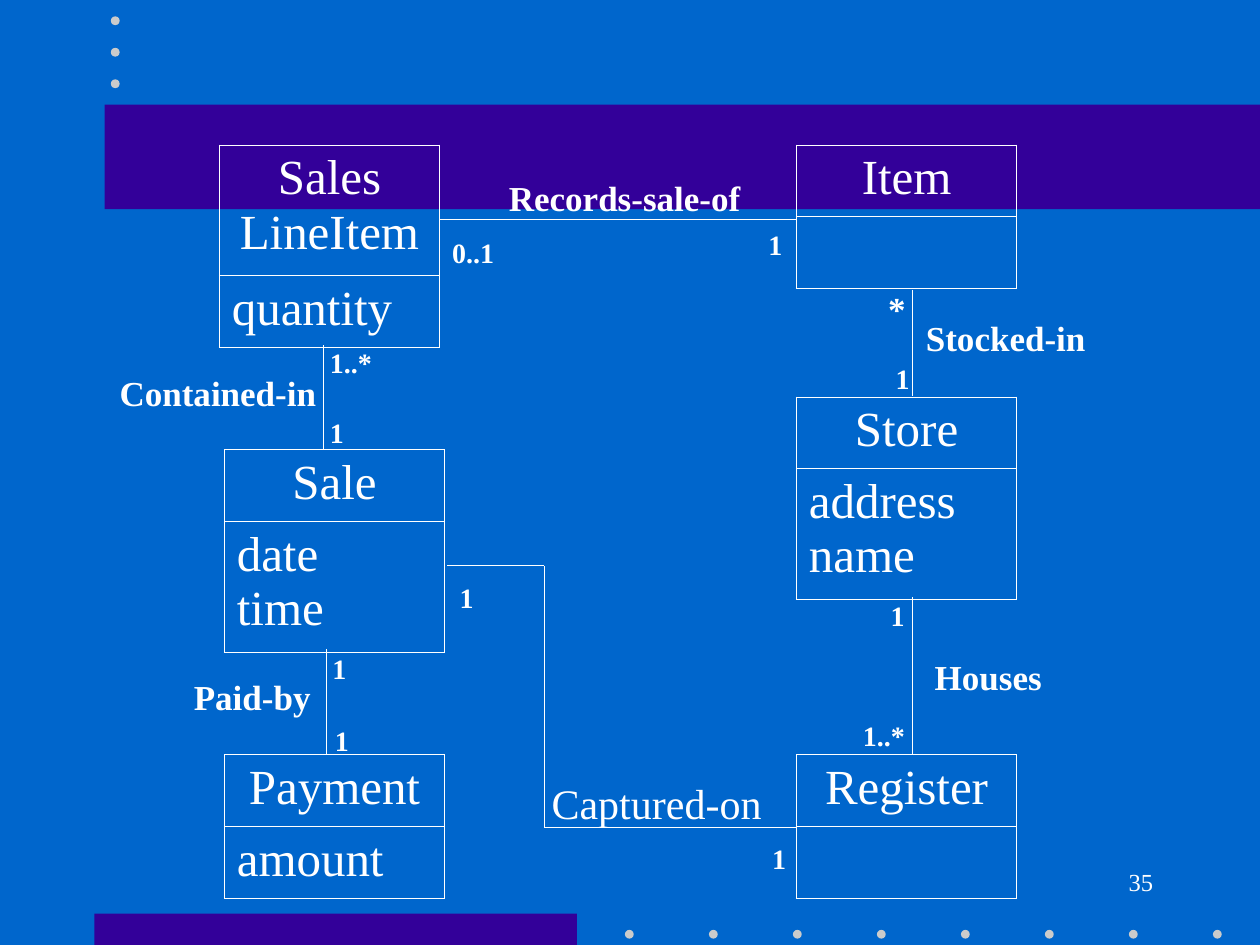
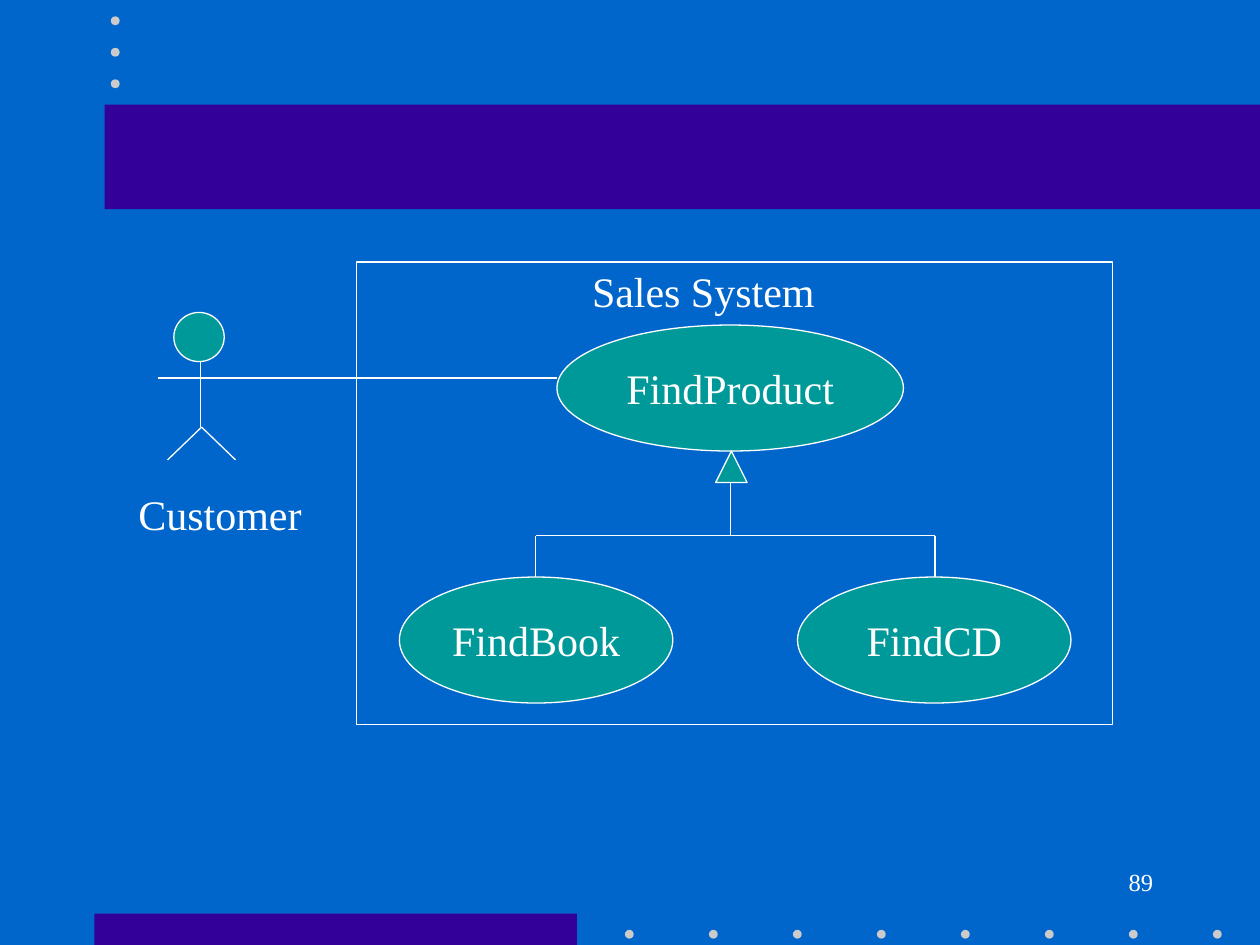
import itertools

import pptx
import pptx.dml.color
import pptx.enum.shapes
import pptx.enum.text
import pptx.oxml
import pptx.oxml.ns
import pptx.util

Inches = pptx.util.Inches
Pt = pptx.util.Pt
RGBColor = pptx.dml.color.RGBColor
Shape = pptx.enum.shapes.MSO_SHAPE
Align = pptx.enum.text.PP_ALIGN
Anchor = pptx.enum.text.MSO_ANCHOR

BACKGROUND = RGBColor(0x00, 0x66, 0xCC)
BAND = RGBColor(0x33, 0x00, 0x99)
DOT = RGBColor(0xCB, 0xCB, 0xCB)
TEAL = RGBColor(0x00, 0x99, 0x99)
WHITE = RGBColor(0xFF, 0xFF, 0xFF)

FONT = "Times New Roman"
LINE_WIDTH = 0.75
BORDER_WIDTH = 0.45
NAME_ROW = 0.57
TALL_ROW = 1.03
CLASS_WIDTH = 1.75

# Class boxes: left, top, name, attributes, row heights
CLASSES = [
    (1.74, 1.15, "Sales LineItem", ["quantity"], (TALL_ROW, NAME_ROW)),
    (6.32, 1.15, "Item", [], (NAME_ROW, NAME_ROW)),
    (1.78, 3.57, "Sale", ["date", "time"], (NAME_ROW, TALL_ROW)),
    (6.32, 3.15, "Store", ["address", "name"], (NAME_ROW, TALL_ROW)),
    (1.78, 5.99, "Payment", ["amount"], (NAME_ROW, NAME_ROW)),
    (6.32, 5.99, "Register", [], (NAME_ROW, NAME_ROW)),
]

# Associations: start point, route, then labels, all measured from the start.
# Each label: text, left, top, width, size, bold
ASSOCIATIONS = [
    (2.57, 2.74, [(0, 0), (0, 0.83)], [
        ("1..*", -0.05, -0.05, 0.83, 16, True),
        ("1", -0.05, 0.51, 0.67, 16, True),
        ("Contained-in", -1.72, 0.16, 2.42, 20, True)]),
    (2.59, 5.15, [(0, 0), (0, 0.84)], [
        ("1", -0.05, -0.03, 0.67, 16, True),
        ("1", -0.03, 0.54, 0.58, 16, True),
        ("Paid-by", -1.15, 0.16, 1.33, 20, True)]),
    (3.55, 4.49, [(0, 0), (0.77, 0), (0.77, 2.08), (2.77, 2.08)], [
        ("1", 0, 0.07, 0.58, 16, True),
        ("Captured-on", 0.73, 1.63, 2, 24, False),
        ("1", 2.48, 2.14, 0.33, 16, True)]),
    (7.24, 4.74, [(0, 0), (0, 1.25)], [
        ("1", -0.27, -0.04, 0.42, 16, True),
        ("1..*", -0.49, 0.91, 0.75, 16, True),
        ("Houses", 0.08, 0.41, 1.33, 20, True)]),
    (7.24, 2.3, [(0, 0), (0, 0.84)], [
        ("Stocked-in", 0.01, 0.16, 1.83, 20, True),
        ("*", -0.29, -0.07, 0.33, 20, True),
        ("1", -0.23, 0.52, 0.33, 16, True)]),
    (3.49, 1.74, [(0, 0), (2.83, 0)], [
        ("Records-sale-of", 0.45, -0.39, 2.33, 20, True),
        ("0..1", 0, 0.08, 0.75, 16, True),
        ("1", 2.51, 0.02, 0.33, 16, True)]),
]


def add_run(paragraph, text, size, bold=False):
    run = paragraph.add_run()
    run.text = text
    run.font.name = FONT
    run.font.size = Pt(size)
    run.font.bold = bold
    run.font.color.rgb = WHITE


def add_label(slide, text, left, top, width, size, bold=False, align=Align.LEFT):
    height = size / 60 + 0.1
    box = slide.shapes.add_textbox(
        Inches(left), Inches(top), Inches(width), Inches(height))
    box.text_frame.word_wrap = True
    paragraph = box.text_frame.paragraphs[0]
    paragraph.alignment = align
    add_run(paragraph, text, size, bold)


def add_figure(slide, kind, left, top, width, height, fill=None, outlined=True):
    shape = slide.shapes.add_shape(
        kind, Inches(left), Inches(top), Inches(width), Inches(height))
    shape.shadow.inherit = False
    if fill is None:
        shape.fill.background()
    else:
        shape.fill.solid()
        shape.fill.fore_color.rgb = fill
    if outlined:
        shape.line.color.rgb = WHITE
        shape.line.width = Pt(LINE_WIDTH)
    else:
        shape.line.fill.background()
    return shape


def add_route(slide, left, top, points):
    """Join successive points, measured from left and top, with lines."""
    for (x1, y1), (x2, y2) in itertools.pairwise(points):
        line = slide.shapes.add_connector(
            pptx.enum.shapes.MSO_CONNECTOR.STRAIGHT,
            Inches(left + x1), Inches(top + y1), Inches(left + x2), Inches(top + y2))
        line.line.color.rgb = WHITE
        line.line.width = Pt(LINE_WIDTH)
        properties = line._element.spPr
        properties.append(properties.makeelement(pptx.oxml.ns.qn("a:effectLst"), {}))


def add_decoration(slide, number):
    # Footer band and its dots
    add_figure(slide, Shape.RECTANGLE, 0.75, 7.25, 3.83, 0.25, BAND, False)
    footer_dots = [(4.96 + column * 2 / 3, 7.38) for column in range(8)]
    # Title band and the dots above it
    add_figure(slide, Shape.RECTANGLE, 0.83, 0.83, 9.17, 0.83, BAND, False)
    header_dots = [(0.88, 0.13 + row * 0.25) for row in range(3)]
    for left, top in footer_dots + header_dots:
        add_figure(slide, Shape.OVAL, left, top, 0.07, 0.07, DOT, False)
    # Slide number
    add_label(slide, number, 7.17, 6.83, 2.08, 14, align=Align.RIGHT)


def outline_cell(cell):
    cell.fill.background()
    properties = cell._tc.get_or_add_tcPr()
    for position, side in enumerate(("lnL", "lnR", "lnT", "lnB")):
        border = pptx.oxml.parse_xml(
            f'<a:{side} {pptx.oxml.ns.nsdecls("a")} w="{Pt(BORDER_WIDTH)}">'
            f'<a:solidFill><a:srgbClr val="{WHITE}"/></a:solidFill></a:{side}>')
        properties.insert(position, border)


def add_class(slide, left, top, name, attributes, heights):
    table = slide.shapes.add_table(
        2, 1, Inches(left), Inches(top),
        Inches(CLASS_WIDTH), Inches(sum(heights))).table
    table.first_row = False
    table.horz_banding = False
    contents = [([name], Align.CENTER), (attributes, Align.LEFT)]
    for index, (lines, align) in enumerate(contents):
        table.rows[index].height = Inches(heights[index])
        cell = table.cell(index, 0)
        outline_cell(cell)
        for number, text in enumerate(lines):
            frame = cell.text_frame
            paragraph = frame.add_paragraph() if number else frame.paragraphs[0]
            paragraph.alignment = align
            add_run(paragraph, text, 28)


def add_association(slide, left, top, route, labels):
    add_route(slide, left, top, route)
    for text, x, y, width, size, bold in labels:
        add_label(slide, text, left + x, top + y, width, size, bold)


def add_actor(slide, left, top, name):
    add_figure(slide, Shape.OVAL, left + 0.13, top, 0.4, 0.39, TEAL)
    # Body, legs, arms
    add_route(slide, left, top, [(0.34, 0.39), (0.34, 0.91)])
    add_route(slide, left, top, [(0.08, 1.17), (0.35, 0.91), (0.62, 1.17)])
    add_route(slide, left, top, [(0, 0.52), (0.67, 0.52)])
    add_label(slide, name, left - 0.25, top + 1.35, 1.5, 24)


def add_use_case(slide, left, top, width, name):
    oval = add_figure(slide, Shape.OVAL, left, top, width, 1, TEAL)
    frame = oval.text_frame
    frame.word_wrap = False
    frame.vertical_anchor = Anchor.MIDDLE
    frame.paragraphs[0].alignment = Align.CENTER
    add_run(frame.paragraphs[0], name, 24)


def add_system(slide, left, top):
    # Boundary and use cases
    add_figure(slide, Shape.RECTANGLE, left, top, 6, 3.67)
    add_label(slide, "Sales System", left + 1.77, top - 0.02, 2.58, 24)
    add_use_case(slide, left + 1.59, top + 0.5, 2.75, "FindProduct")
    add_use_case(slide, left + 0.34, top + 2.5, 2.17, "FindBook")
    add_use_case(slide, left + 3.5, top + 2.5, 2.17, "FindCD")
    # Generalization: fork, stem and hollow arrowhead
    add_route(slide, left, top, [(1.42, 2.5), (1.42, 2.17), (4.59, 2.17), (4.59, 2.5)])
    add_route(slide, left, top, [(2.97, 1.75), (2.97, 2.17)])
    add_figure(slide, Shape.ISOSCELES_TRIANGLE, left + 2.85, top + 1.5, 0.25, 0.25, TEAL)


def build_class_diagram(slide):
    add_decoration(slide, "35")
    for class_box in CLASSES:
        add_class(slide, *class_box)
    for association in ASSOCIATIONS:
        add_association(slide, *association)


def build_use_case_diagram(slide):
    add_decoration(slide, "89")
    add_actor(slide, 1.25, 2.48, "Customer")
    add_system(slide, 2.83, 2.08)
    # Customer takes part in FindProduct
    add_route(slide, 1.92, 3, [(0, 0), (2.5, 0)])


def main():
    presentation = pptx.Presentation()
    presentation.slide_width = Inches(10)
    presentation.slide_height = Inches(7.5)
    background = presentation.slide_master.background.fill
    background.solid()
    background.fore_color.rgb = BACKGROUND
    for build in (build_class_diagram, build_use_case_diagram):
        build(presentation.slides.add_slide(presentation.slide_layouts[6]))
    presentation.save("out.pptx")


if __name__ == "__main__":
    main()
